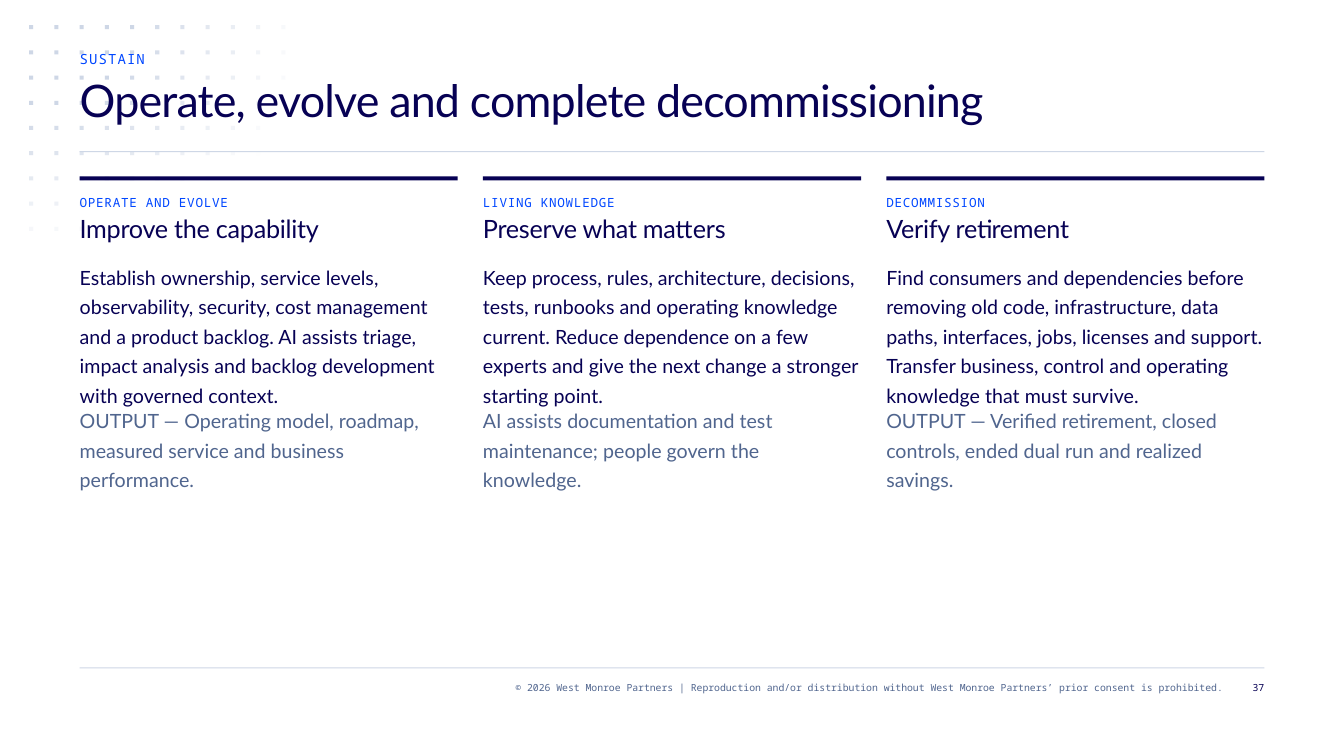
"""Builds the slide on operating, evolving and decommissioning."""
from lxml.etree import SubElement
from pptx import Presentation
from pptx.dml.color import RGBColor
from pptx.enum.shapes import MSO_SHAPE as Shape
from pptx.enum.text import PP_ALIGN as Align
from pptx.oxml.ns import qn
from pptx.util import Inches, Pt

COLORS = {"navy": "070154", "blue": "0047FF", "slate": "50658E", "mist": "CED7E6"}
SANS, MONO = "Lato", "Noto Sans Mono"
EYEBROW = "SUSTAIN"
TITLE = "Operate, evolve and complete decommissioning"
COPYRIGHT = ("© 2026 West Monroe Partners | Reproduction and/or distribution "
             "without West Monroe Partners’ prior consent is prohibited.")
PAGE = "37"
COLUMNS = [
    ("OPERATE AND EVOLVE", "Improve the capability",
     "Establish ownership, service levels, observability, security, cost management and a "
     "product backlog. AI assists triage, impact analysis and backlog development with "
     "governed context.",
     "OUTPUT — Operating model, roadmap, measured service and business performance."),
    ("LIVING KNOWLEDGE", "Preserve what matters",
     "Keep process, rules, architecture, decisions, tests, runbooks and operating knowledge "
     "current. Reduce dependence on a few experts and give the next change a stronger "
     "starting point.",
     "AI assists documentation and test maintenance; people govern the knowledge."),
    ("DECOMMISSION", "Verify retirement",
     "Find consumers and dependencies before removing old code, infrastructure, data paths, "
     "interfaces, jobs, licenses and support. Transfer business, control and operating "
     "knowledge that must survive.",
     "OUTPUT — Verified retirement, closed controls, ended dual run and realized savings."),
]
DOT_OPACITY = [
    (100, 100, 100, 100, 98, 84, 70, 56, 42, 29, 15),
    (100, 100, 100, 100, 95, 81, 68, 55, 41, 27, 14),
    (100, 100, 100, 100, 88, 76, 63, 50, 37, 24, 11),
    (100, 100, 95, 87, 77, 67, 55, 43, 31, 18, 6),
    (85, 84, 80, 73, 65, 56, 46, 35, 23, 11),
    (69, 67, 64, 59, 52, 43, 34, 24, 14, 2),
    (52, 51, 48, 43, 37, 30, 22, 13, 3),
    (35, 34, 32, 28, 22, 16, 8),
    (18, 17, 15, 12, 7),
]
LEFT, WIDTH = 0.79, 11.75
COLUMN_WIDTH, COLUMN_STEP = 3.75, 4
DOT_LEFT, DOT_TOP, DOT_STEP, DOT_SIZE = 0.29, 0.25, 0.25, 0.04


def add_block(shapes, left, top, width, height, color, opacity=100):
    shape = shapes.add_shape(Shape.RECTANGLE, Inches(left), Inches(top),
                             Inches(width), Inches(height))
    shape.shadow.inherit = False
    shape.line.fill.background()
    shape.fill.solid()
    shape.fill.fore_color.rgb = RGBColor.from_string(COLORS[color])
    if opacity < 100:
        fill_color = shape._element.spPr.find(qn("a:solidFill")).find(qn("a:srgbClr"))
        SubElement(fill_color, qn("a:alpha")).set("val", str(opacity * 1000))


def add_text(shapes, text, left, top, width, height, font, size, color, leading,
             tracking=0, align=Align.LEFT):
    text_frame = shapes.add_textbox(Inches(left), Inches(top), Inches(width),
                                    Inches(height)).text_frame
    text_frame.word_wrap = True
    text_frame.margin_left = text_frame.margin_right = 0
    text_frame.margin_top = text_frame.margin_bottom = 0
    text_frame.text = text
    paragraph = text_frame.paragraphs[0]
    paragraph.alignment = align
    paragraph.line_spacing = Pt(leading)
    run = paragraph.runs[0]
    run.font.name = font
    run.font.size = Pt(size)
    run.font.color.rgb = RGBColor.from_string(COLORS[color])
    if tracking:
        run._r.get_or_add_rPr().set("spc", str(round(tracking * 100)))


def add_column(shapes, left, label, heading, body, output):
    header = shapes.add_group_shape().shapes
    add_block(header, left, 1.75, COLUMN_WIDTH, 0.04, "navy")
    add_text(header, label, left, 1.92, COLUMN_WIDTH, 0.17, MONO, 9, "blue", 12, 0.5)
    add_text(header, heading, left, 2.08, COLUMN_WIDTH, 0.33, SANS, 18, "navy", 24, -0.2)
    add_text(shapes, body, left, 2.58, COLUMN_WIDTH, 1.46, SANS, 14, "navy", 21)
    add_text(shapes, output, left, 4, COLUMN_WIDTH, 0.88, SANS, 14, "slate", 21)


def main():
    presentation = Presentation()
    presentation.slide_width, presentation.slide_height = Inches(13.33), Inches(7.5)
    slide = presentation.slides.add_slide(presentation.slide_layouts[6])
    shapes = slide.shapes

    for row, opacities in enumerate(DOT_OPACITY):
        for column, opacity in enumerate(opacities):
            add_block(shapes, DOT_LEFT + column * DOT_STEP, DOT_TOP + row * DOT_STEP,
                      DOT_SIZE, DOT_SIZE, "mist", opacity)
    for rule_top in (1.5, 6.62):
        add_block(shapes, LEFT, rule_top, WIDTH, 0.01, "mist")

    add_text(shapes, COPYRIGHT, 2.38, 6.75, 9.75, 0.25, MONO, 7, "slate", 9,
             align=Align.RIGHT)
    add_text(shapes, EYEBROW, LEFT, 0.5, WIDTH, 0.17, MONO, 10, "blue", 12, 0.8)
    add_text(shapes, TITLE, LEFT, 0.75, WIDTH, 0.75, SANS, 32, "navy", 36, -0.6)
    add_text(shapes, PAGE, 12.21, 6.75, 0.33, 0.25, MONO, 7, "navy", 9, align=Align.RIGHT)

    for index, content in enumerate(COLUMNS):
        add_column(shapes, LEFT + index * COLUMN_STEP, *content)
    presentation.save("out.pptx")


if __name__ == "__main__":
    main()
